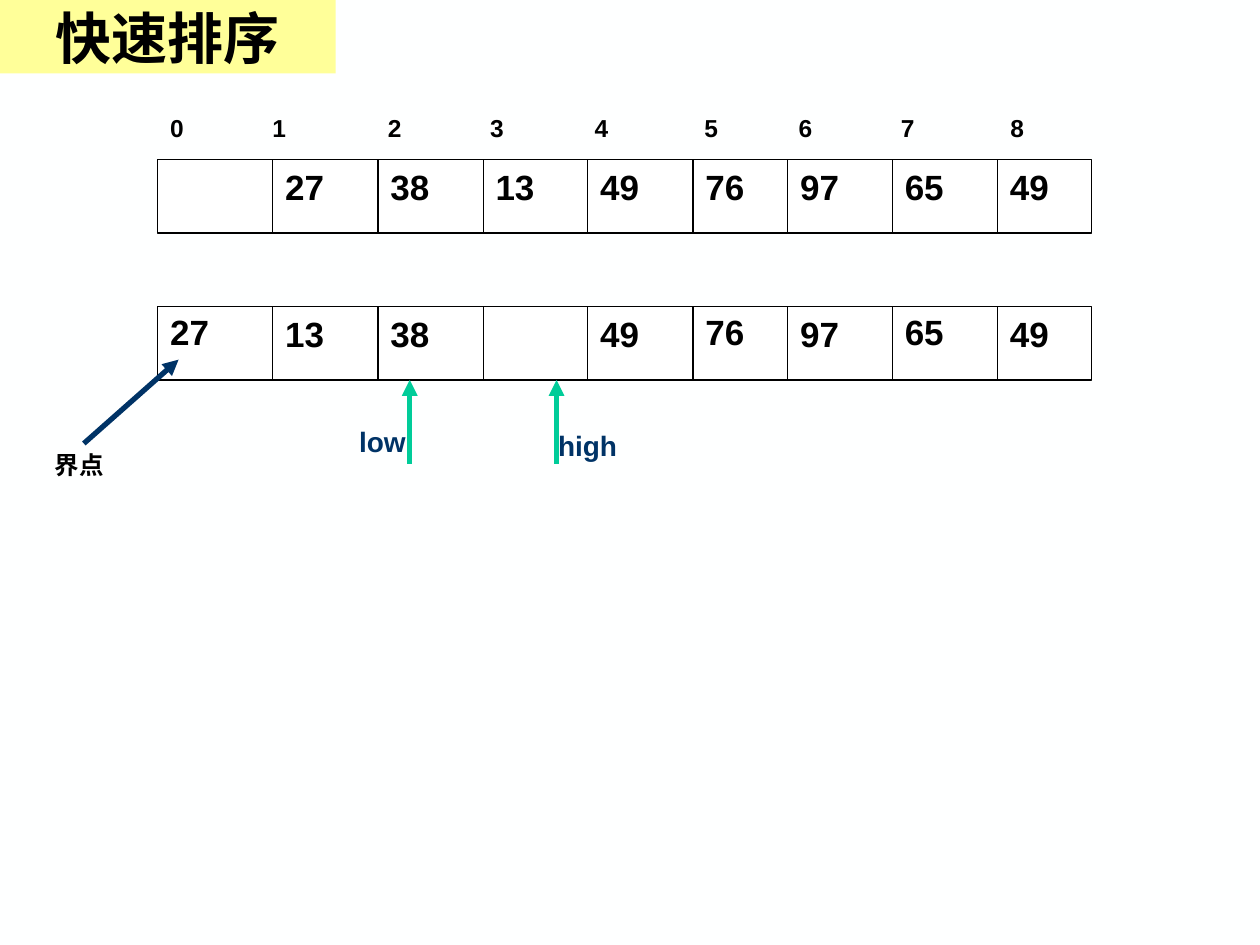
import itertools

import pptx
import pptx.dml.color
import pptx.enum.shapes
import pptx.enum.text
import pptx.oxml
import pptx.oxml.ns
import pptx.util
from pptx.util import Cm

RGBColor = pptx.dml.color.RGBColor
BACKGROUND = RGBColor(0xFE, 0xFF, 0xFF)
WHITE = RGBColor(0xFF, 0xFF, 0xFF)
BLACK = RGBColor(0x00, 0x00, 0x00)
YELLOW = RGBColor(0xFF, 0xFF, 0x99)
GREEN = RGBColor(0x00, 0xCC, 0x99)
NAVY = RGBColor(0x00, 0x33, 0x66)

# Left edges of the nine cells and the right edge of the last one, in cm
CELL_EDGES = [3.18, 5.5, 7.62, 9.74, 11.85, 13.97, 15.88, 17.99, 20.11, 22.01]
CELL_HEIGHT = 1.48
INDEX_TABS = [2.06, 4.39, 6.45, 8.56, 10.77, 12.67, 14.73, 16.94]

BEFORE_TOP, AFTER_TOP = 3.22, 6.18
BEFORE = ["", "27", "38", "13", "49", "76", "97", "65", "49"]
AFTER = ["27", "13", "38", "", "49", "76", "97", "65", "49"]
RAISED_AFTER = {0, 5, 7}  # cells whose number sits slightly higher
RAISE = 0.05


def add_xml(parent, tag, **attributes):
    child = parent.makeelement(pptx.oxml.ns.qn(tag), attributes)
    parent.append(child)
    return child


def style_text(paragraph, size, color, font="Arial"):
    paragraph.font.name = font
    paragraph.font.size = pptx.util.Pt(size)
    paragraph.font.bold = True
    paragraph.font.color.rgb = color


def add_label(shapes, text, left, top, width, height, size, color=BLACK, tabs=()):
    box = shapes.add_textbox(Cm(left), Cm(top), Cm(width), Cm(height))
    frame = box.text_frame
    frame.word_wrap = True
    frame.auto_size = pptx.enum.text.MSO_AUTO_SIZE.SHAPE_TO_FIT_TEXT
    frame.text = text
    paragraph = frame.paragraphs[0]
    if tabs:
        tab_list = add_xml(paragraph._p.get_or_add_pPr(), "a:tabLst")
        for position in tabs:
            add_xml(tab_list, "a:tab", pos=str(int(Cm(position))), algn="l")
    style_text(paragraph, size, color)


def add_line(shapes, start, end, color, weight, arrow=False):
    line = shapes.add_connector(
        pptx.enum.shapes.MSO_CONNECTOR.STRAIGHT, *map(Cm, start + end))
    line.line.color.rgb = color
    line.line.width = pptx.util.Pt(weight)
    if arrow:
        add_xml(line.line._get_or_add_ln(), "a:tailEnd", type="triangle")
    add_xml(line._element.spPr, "a:effectLst")


def add_rectangle(shapes, left, top, width, height, fill):
    rectangle = shapes.add_shape(
        pptx.enum.shapes.MSO_SHAPE.RECTANGLE,
        Cm(left), Cm(top), Cm(width), Cm(height))
    rectangle.shadow.inherit = False
    rectangle.fill.solid()
    rectangle.fill.fore_color.rgb = fill
    return rectangle


def add_array(slide, values, top, raised=()):
    grid = slide.shapes.add_group_shape().shapes
    left, right = CELL_EDGES[0], CELL_EDGES[-1]
    frame = add_rectangle(grid, left, top, right - left, CELL_HEIGHT, WHITE)
    frame.line.color.rgb = BLACK
    frame.line.width = pptx.util.Pt(0.75)
    for x in CELL_EDGES[1:-1]:
        add_line(grid, (x, top), (x, top + CELL_HEIGHT), BLACK, 0.75)
    for index, (x, value) in enumerate(zip(CELL_EDGES, values)):
        if value:
            number_top = top - RAISE if index in raised else top
            add_label(slide.shapes, value, x, number_top, 1.69, 1.11, 20)


def add_pointer(slide, name, arrow_x, label_left, label_top):
    """Add an upward arrow to the lower array together with its name."""
    pointer = slide.shapes.add_group_shape().shapes
    tip = AFTER_TOP + CELL_HEIGHT
    add_line(pointer, (arrow_x, tip + 1.69), (arrow_x, tip), GREEN, 3, arrow=True)
    add_label(pointer, name, label_left, label_top, 2.33, 0.94, 16, NAVY)


def add_title(slide, text):
    title = add_rectangle(slide.shapes, 0, 0, 6.77, 1.48, YELLOW)
    title.line.fill.background()
    title.text_frame.text = text
    title.text_frame.vertical_anchor = pptx.enum.text.MSO_ANCHOR.MIDDLE
    paragraph = title.text_frame.paragraphs[0]
    paragraph.alignment = pptx.enum.text.PP_ALIGN.CENTER
    style_text(paragraph, 32, BLACK, "Times New Roman")


def main():
    presentation = pptx.Presentation()
    presentation.slide_width = Cm(25.4)
    presentation.slide_height = Cm(19.05)
    slide = presentation.slides.add_slide(presentation.slide_layouts[6])
    slide.background.fill.solid()
    slide.background.fill.fore_color.rgb = BACKGROUND

    add_array(slide, AFTER, AFTER_TOP, RAISED_AFTER)
    add_array(slide, BEFORE, BEFORE_TOP)
    indices = "\t".join(map(str, itertools.islice(itertools.count(), len(BEFORE))))
    add_label(slide.shapes, indices, CELL_EDGES[0], 2.16,
              CELL_EDGES[-1] - CELL_EDGES[0], 0.86, 14, tabs=INDEX_TABS)

    add_pointer(slide, "high", 11.22, 11, 8.51)
    add_pointer(slide, "low", 8.26, 6.99, 8.43)
    add_label(slide.shapes, "界点", 0.85, 8.94, 2.12, 0.86, 14)
    add_line(slide.shapes, (1.69, 8.94), (3.6, 7.25), NAVY, 3, arrow=True)
    add_title(slide, "快速排序")

    presentation.save("out.pptx")


if __name__ == "__main__":
    main()
